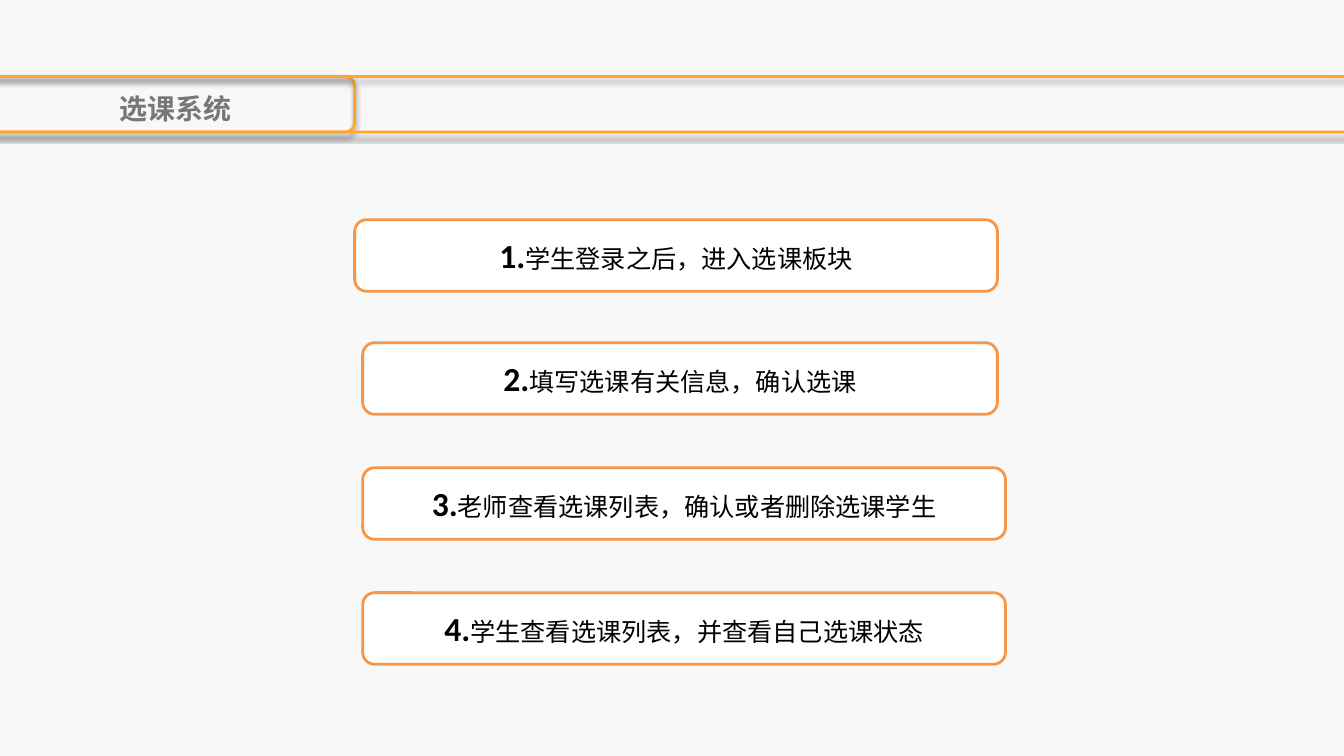
"""Build the course selection slide with a banded title and four steps."""
from dataclasses import dataclass

from lxml import etree
from pptx import Presentation
from pptx.dml.color import RGBColor
from pptx.enum import shapes, text
from pptx.oxml import ns
from pptx.util import Inches, Pt

LATIN, CJK = "Calibri", "Noto Sans CJK SC"
BAND_TOP, BAND_H = 0.76, 0.55
STEP_H = 0.71


@dataclass
class Band:
    left: float
    width: float


@dataclass
class Step:
    left: float
    top: float
    width: float
    label: str


BANDS = [Band(-0.26, 3.78), Band(-0.18, 13.94)]
STEPS = [
    Step(3.52, 2.18, 6.38, "学生登录之后，进入选课板块"),
    Step(3.6, 3.4, 6.3, "填写选课有关信息，确认选课"),
    Step(3.6, 4.64, 6.38, "老师查看选课列表，确认或者删除选课学生"),
    Step(3.6, 5.88, 6.38, "学生查看选课列表，并查看自己选课状态"),
]


def rgb(value: str) -> RGBColor:
    """Turn a hex string into a colour."""
    return RGBColor.from_string(value)


def add_run(p, content: str, *, size: float, color: str = "000000",
            bold: bool = False, font: str = LATIN) -> None:
    """Add a formatted run to a paragraph."""
    r = p.add_run()
    r.text = content
    r.font.size = Pt(size)
    r.font.bold = bold
    r.font.color.rgb = rgb(color)
    r.font.name = font
    ea = etree.SubElement(r.font._element, ns.qn("a:ea"))
    ea.set("typeface", CJK)


def add_box(s, kind, left: float, top: float, width: float, height: float,
            line: str):
    """Add an outlined shape without a shadow."""
    sp = s.shapes.add_shape(kind, Inches(left), Inches(top),
                            Inches(width), Inches(height))
    sp.shadow.inherit = False
    sp.line.color.rgb = rgb(line)
    sp.line.width = Pt(2)
    return sp


def add_shadow(sp) -> None:
    """Give a shape a soft shadow straight below it."""
    effects = sp._element.spPr.find(ns.qn("a:effectLst"))
    shadow = etree.SubElement(
        effects, ns.qn("a:outerShdw"), blurRad=str(Pt(4)), dist=str(Pt(3)),
        dir="5400000", algn="t", rotWithShape="0")
    color = etree.SubElement(shadow, ns.qn("a:srgbClr"), val="000000")
    etree.SubElement(color, ns.qn("a:alpha"), val="40000")


def add_band(s, band: Band) -> None:
    """Draw one unfilled title band."""
    sp = add_box(s, shapes.MSO_SHAPE.FLOWCHART_ALTERNATE_PROCESS,
                 band.left, BAND_TOP, band.width, BAND_H, "FFA52D")
    sp.fill.background()
    add_shadow(sp)


def add_title(s, content: str) -> None:
    """Write the title inside the left band."""
    tf = s.shapes.add_textbox(Inches(0.21), Inches(BAND_TOP),
                              Inches(3.06), Inches(BAND_H)).text_frame
    tf.word_wrap = True
    tf.auto_size = text.MSO_AUTO_SIZE.SHAPE_TO_FIT_TEXT
    p = tf.paragraphs[0]
    p.alignment = text.PP_ALIGN.CENTER
    p.line_spacing = 1.3
    add_run(p, content, size=20, color="777777", bold=True, font=CJK)


def add_step(s, number: int, step: Step) -> None:
    """Draw one numbered step."""
    sp = add_box(s, shapes.MSO_SHAPE.ROUNDED_RECTANGLE, step.left, step.top,
                 step.width, STEP_H, "F79646")
    sp.fill.solid()
    sp.fill.fore_color.rgb = rgb("FFFFFF")
    tf = sp.text_frame
    tf.word_wrap = True
    tf.vertical_anchor = text.MSO_ANCHOR.MIDDLE
    p = tf.paragraphs[0]
    p.alignment = text.PP_ALIGN.CENTER
    add_run(p, f"{number}.", size=24, bold=True)
    add_run(p, step.label, size=18)


def main() -> None:
    """Build and save the slide."""
    prs = Presentation()
    prs.slide_width, prs.slide_height = Inches(13.34), Inches(7.5)
    s = prs.slides.add_slide(prs.slide_layouts[6])
    s.background.fill.solid()
    s.background.fill.fore_color.rgb = rgb("F8F8F8")
    for band in BANDS:
        add_band(s, band)
    add_title(s, "选课系统")
    for number, step in enumerate(STEPS, start=1):
        add_step(s, number, step)
    prs.save("out.pptx")


if __name__ == "__main__":
    main()
